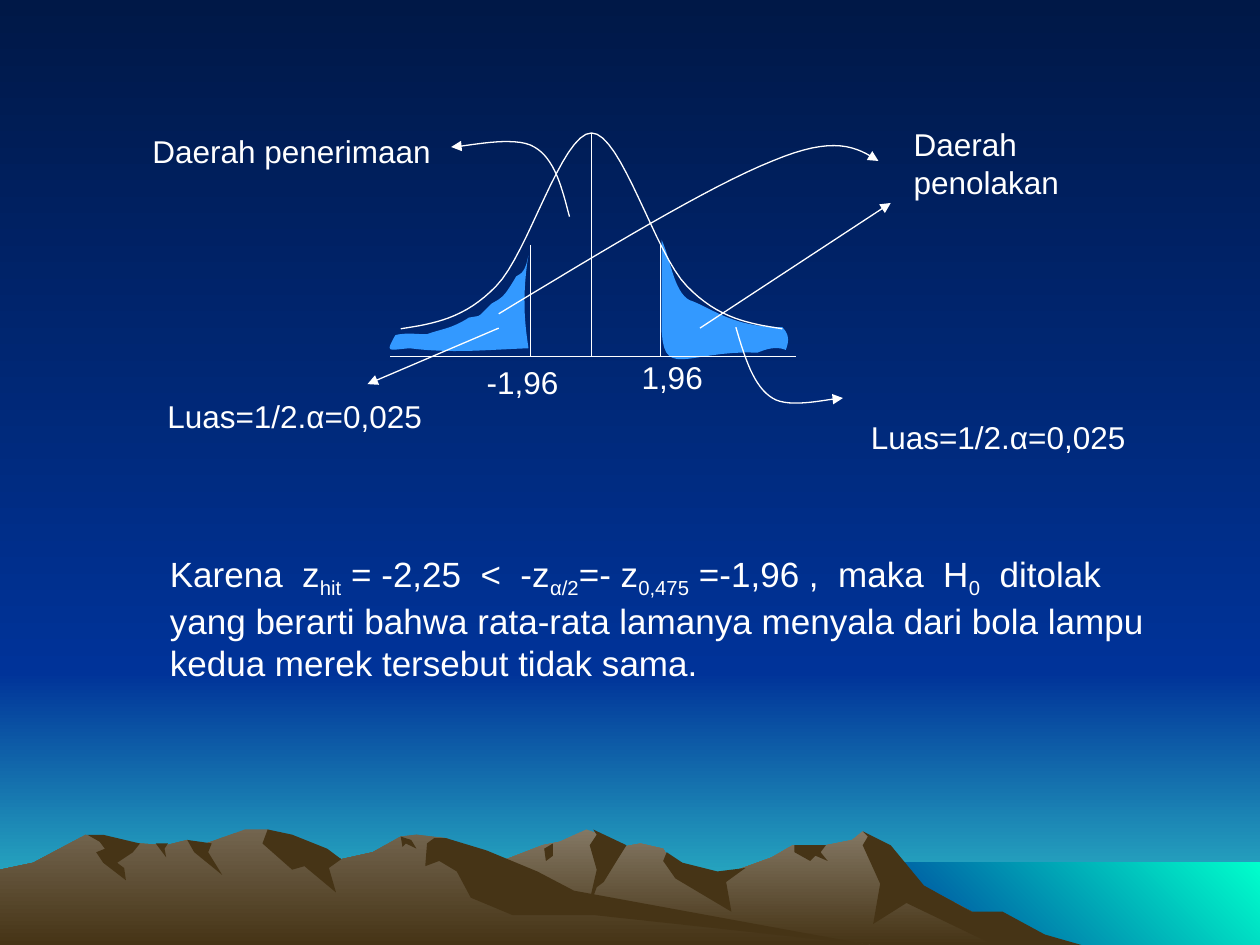
"""Build the slide on the two-sided test: normal curve, rejection areas and conclusion."""
import pptx
import pptx.dml.color
import pptx.enum.shapes
import pptx.enum.text
import pptx.oxml.ns
import pptx.util
from lxml import etree

Pt = pptx.util.Pt
RGB = pptx.dml.color.RGBColor.from_string
qn = pptx.oxml.ns.qn
COLORS = {
    "night": "001847", "blue": "003399", "horizon": "33CCCC", "sea": "00FFCC",
    "rock_right": "847864", "rock_left": "73654F", "shade": "463416",
    "area": "3399FF", "white": "FFFFFF",
}
WIDTH, HEIGHT = 720, 540
SKY_SPLIT, SEA_LEFT, SEA_TOP = 384, 492, 493
MEAN, PEAK, AXIS_Y, CRITICAL_TOP = 338, 76, 203.6, 140
CRITICAL_LEFT, CRITICAL_RIGHT = 303, 377.5
BEZIER_STEPS = 16


def set_gradient(fill, start, end, angle=270):
    fill.gradient()
    fill.gradient_angle = angle
    for stop, name in zip(fill.gradient_stops, (start, end)):
        stop.color.rgb = RGB(COLORS[name])


def add_freeform(pts, curved=False, close=True, color=None):
    outline = pts
    if curved:
        outline = [pts[0]]
        for a, b, c, d in zip(pts[:-1:3], pts[1::3], pts[2::3], pts[3::3]):
            for k in range(1, BEZIER_STEPS + 1):
                t = k / BEZIER_STEPS
                u = 1 - t
                outline.append([u**3 * a[i] + 3 * u * u * t * b[i] + 3 * u * t * t * c[i] + t**3 * d[i]
                                for i in (0, 1)])
    outline = [(Pt(x), Pt(y)) for x, y in outline]
    fb = s.shapes.build_freeform(*outline[0])
    fb.add_line_segments(outline[1:], close=close)
    sp = fb.convert_to_shape()
    sp.shadow.inherit = False
    sp.line.fill.background()
    if color:
        sp.fill.solid()
        sp.fill.fore_color.rgb = RGB(COLORS[color])
    else:
        sp.fill.background()
    return sp


prs = pptx.Presentation()
prs.slide_width, prs.slide_height = Pt(WIDTH), Pt(HEIGHT)
s = prs.slides.add_slide(prs.slide_layouts[6])
set_gradient(s.background.fill, "night", "blue")

bands = [
    (0, SKY_SPLIT, HEIGHT, "blue", "horizon", 270),
    (0, 0, SKY_SPLIT, "night", "blue", 270),
    (SEA_LEFT, SEA_TOP, HEIGHT, "blue", "sea", 45),
]
for left, top, bottom, start, end, angle in bands:
    sp = s.shapes.add_shape(pptx.enum.shapes.MSO_SHAPE.RECTANGLE,
                            Pt(left), Pt(top), Pt(WIDTH - left), Pt(bottom - top))
    sp.shadow.inherit = False
    sp.line.fill.background()
    set_gradient(sp.fill, start, end, angle)

skylines = {
    "rock_right": [(186, HEIGHT), (235, 510), (256, 503), (292, 490), (310, 483), (320, 481), (335, 474),
                   (341, 476), (350, 485), (366, 482), (379, 485), (386, 497), (408, 502), (441, 490),
                   (453, 483), (472, 483), (487, 480), (493, 475), (505, 483), (521, 503), (591, HEIGHT)],
    "rock_left": [(0, HEIGHT), (0, 497), (19, 493), (49, 477), (68, 483), (80, 482), (95, 483), (107, 480),
                  (115, 483), (140, 474), (153, 474), (161, 477), (170, 490), (187, 487), (195, 491),
                  (213, 487), (229, 478), (238, 477), (255, 479), (311, 513), (497, HEIGHT)],
}
shaded_slopes = {
    "rock_right": {
        "east slope": [(493, 475), (509, 483), (528, 506), (555, 521), (573, 521), (597, 534), (618, HEIGHT),
                       (568, HEIGHT), (518, 516), (499, 528), (503, 505), (493, 483), (496, 478)],
        "central peak": [(339, 474), (341, 477), (337, 483), (341, 497), (335, 523), (341, 507),
                         (345, 504), (353, 491), (358, 483)],
        "valley": [(381, 487), (379, 492), (386, 502), (418, 521), (415, 504), (426, 496), (410, 498), (390, 493)],
        "notch": [(454, 483), (454, 487), (463, 492), (466, 489), (473, 492), (469, 487), (472, 483)],
        "cleft": [(311, 485), (316, 482), (316, 489), (312, 492)],
    },
    "rock_left": {
        "second peak": [(153, 474), (150, 482), (167, 497), (174, 495), (192, 510), (188, 496), (195, 491),
                        (187, 485), (167, 477)],
        "long slope": [(255, 479), (248, 479), (244, 482), (243, 495), (251, 492), (261, 498), (269, 513),
                       (293, 523), (340, 523), (497, HEIGHT), (328, 509), (307, 498), (278, 486)],
        "small peak": [(229, 478), (235, 480), (238, 485), (232, 482), (230, 484)],
        "saddle": [(107, 480), (121, 482), (119, 487), (127, 500), (111, 487)],
        "crack": [(89, 482), (96, 482), (94, 485), (95, 490)],
        "first peak": [(50, 477), (59, 477), (80, 482), (76, 487), (67, 493), (71, 496), (72, 503), (59, 493),
                       (55, 487), (60, 485), (57, 481)],
    },
}
for rock, skyline in skylines.items():
    set_gradient(add_freeform(skyline).fill, rock, "shade")
    for slope in shaded_slopes[rock].values():
        add_freeform(slope, color="shade")

rejection_areas = {
    "left": [(302, 146), (300, 156), (298, 156), (295, 158), (288, 170), (287, 170), (281, 173.5),
             (272, 182), (276, 180), (268, 181.5), (258, 188), (252, 188), (244, 191),
             (238, 191), (232, 190), (226, 191.5), (220, 202), (222, 200), (234, 199),
             (258, 202), (277, 200), (302, 199), (302, 196), (297, 176), (302, 146)],
    "right": [(378, 137), (383, 147), (385, 167), (394, 171.5), (407, 176), (418, 187), (447, 187),
              (451, 191), (451, 195), (449, 200), (444, 198), (439, 199), (433, 201.5),
              (391, 200), (378, 219), (378, 184)],
}
for area in rejection_areas.values():
    add_freeform(area, curved=True, color="area")

half_curve = [(0, PEAK), (17, PEAK), (36.4, 145.4), (54.4, 163.4), (72.4, 182.2), (90.4, 185), (109, 187.9)]
bell = [(MEAN - dx, y) for dx, y in reversed(half_curve)] + [(MEAN + dx, y) for dx, y in half_curve[1:]]
plain_lines = [((223, AXIS_Y), (455, AXIS_Y))]
for x, top in ((MEAN, PEAK), (CRITICAL_LEFT, CRITICAL_TOP), (CRITICAL_RIGHT, CRITICAL_TOP)):
    plain_lines.append(((x, top), (x, AXIS_Y)))
straight_arrows = {
    "right area to rejection": ((400, 187.5), (509, 116)),
    "left area to size": ((285, 187.5), (210, 219.5)),
}
curved_arrows = {
    "left area to rejection": [(285, 179.3), (345, 143), (405, 106.5), (441.4, 92), (477, 77), (489.6, 84), (502, 92)],
    "middle to acceptance": [(325.4, 123.8), (321, 107), (317, 90.7), (305.3, 84), (294, 77), (265.7, 84), (257.8, 84)],
    "right area to size": [(420.5, 187), (425.5, 204), (430.6, 221), (441.4, 227.5), (451.4, 234), (475, 227.5),
                           (481.7, 227.5)],
}

strokes = [(add_freeform(bell, curved=True, close=False), False)]
for lines, arrow in ((plain_lines, False), (straight_arrows.values(), True)):
    for (x1, y1), (x2, y2) in lines:
        cx = s.shapes.add_connector(pptx.enum.shapes.MSO_CONNECTOR.STRAIGHT, Pt(x1), Pt(y1), Pt(x2), Pt(y2))
        strokes.append((cx, arrow))
for pts in curved_arrows.values():
    strokes.append((add_freeform(pts, curved=True, close=False), True))

for sp, arrow in strokes:
    sp.line.width = Pt(0.75)
    sp.line.color.rgb = RGB(COLORS["white"])
    spPr = sp.element.spPr
    if arrow:
        etree.SubElement(spPr.find(qn("a:ln")), qn("a:tailEnd"), type="triangle")
    if spPr.find(qn("a:effectLst")) is None:
        etree.SubElement(spPr, qn("a:effectLst"))

area_size = "Luas=1/2.α=0,025"
conclusion = [
    "Karena  z", "hit", " = -2,25  <  -z", "α/2", "=- z", "0,475", " =-1,96 ,  maka  H", "0",
    "  ditolak yang berarti bahwa rata-rata lamanya menyala dari bola lampu "
    "kedua merek tersebut tidak sama.",
]
texts = [
    (515, 68, 143, 50, 18, ["Daerah penolakan"]),
    (490.5, 235.5, 176, 29, 18, [area_size]),
    (271, 204, 69, 29, 18, ["-1,96"]),
    (359.5, 201, 70, 29, 18, ["1,96"]),
    (80, 72, 177, 29, 18, ["Daerah penerimaan"]),
    (88.5, 223.5, 176, 29, 18, [area_size]),
    (90, 312, 576, 83, 20, conclusion),
]
for x, y, w, h, size, parts in texts:
    tf = s.shapes.add_textbox(Pt(x), Pt(y), Pt(w), Pt(h)).text_frame
    tf.word_wrap = True
    tf.auto_size = pptx.enum.text.MSO_AUTO_SIZE.SHAPE_TO_FIT_TEXT
    p = tf.paragraphs[0]
    for i, part in enumerate(parts):
        r = p.add_run()
        r.text = part
        r.font.name = "Arial"
        r.font.size = Pt(size)
        r.font.color.rgb = RGB(COLORS["white"])
        is_subscript = i % 2 == 1
        if is_subscript:
            r.font._element.set("baseline", "-25000")

prs.save("out.pptx")
